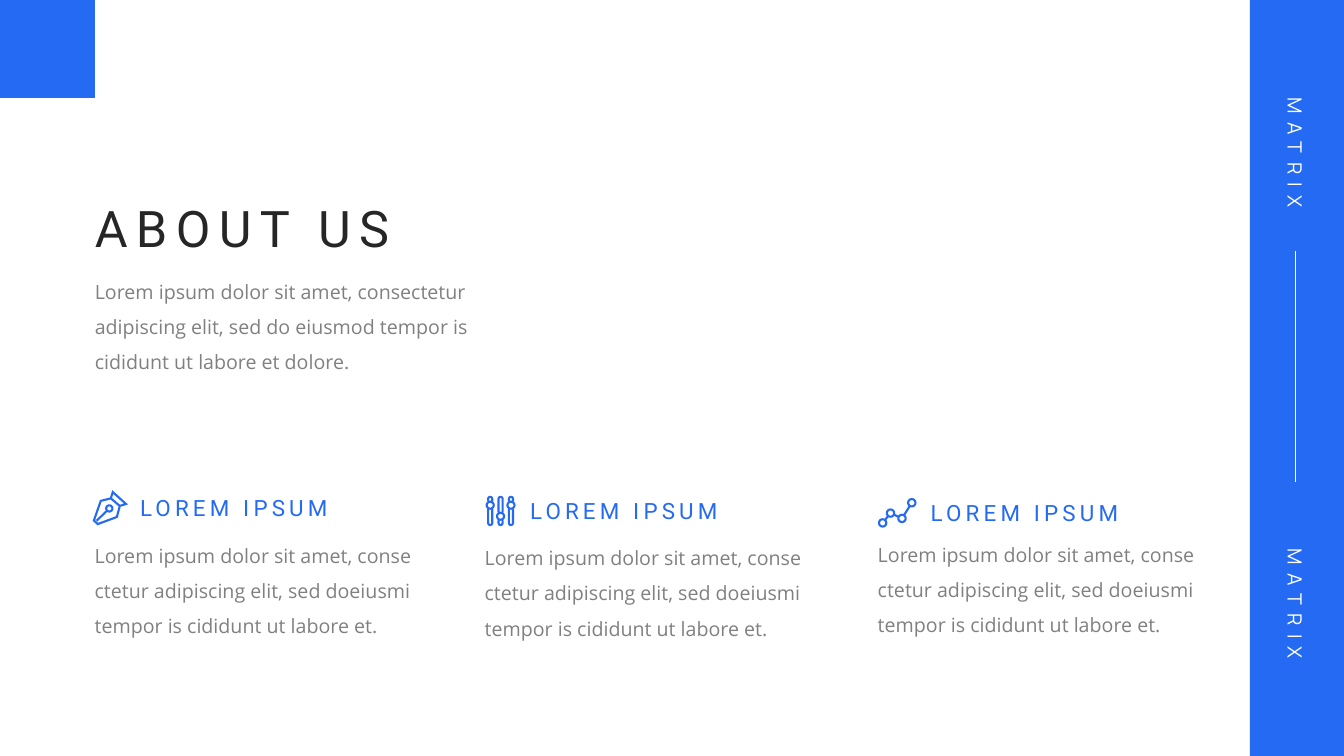
from itertools import pairwise
from math import cos, hypot, pi, sin
from lxml import etree
from pptx import Presentation
from pptx.dml.color import RGBColor
from pptx.enum.shapes import MSO_CONNECTOR, MSO_SHAPE
from pptx.enum.text import MSO_ANCHOR, MSO_AUTO_SIZE, PP_ALIGN
from pptx.oxml.ns import qn
from pptx.util import Pt

LEFT, CENTER, RIGHT = PP_ALIGN.LEFT, PP_ALIGN.CENTER, PP_ALIGN.RIGHT
TOP = MSO_ANCHOR.TOP
GROW = MSO_AUTO_SIZE.SHAPE_TO_FIT_TEXT
RECT = MSO_SHAPE.RECTANGLE
LINE = MSO_CONNECTOR.STRAIGHT

BLUE, WHITE, DARK, GREY = "256AF3", "FFFFFF", "262626", "808080"
HALF = 0.75  # half the stroke of an icon

# Text formats: font values, letter gap in points, paragraph values
TITLE = {"font": {"name": "Roboto", "size": Pt(36)}, "color": DARK, "gap": 6,
         "para": {"alignment": LEFT}, "wrap": False}
HEAD = {"font": {"name": "Roboto", "size": Pt(16)}, "color": BLUE, "gap": 3,
        "para": {"alignment": RIGHT}, "wrap": False}
BODY = {"font": {"name": "Open Sans", "size": Pt(14)}, "color": GREY, "gap": 0,
        "para": {"alignment": LEFT, "line_spacing": 1.5}, "wrap": True}
SIDE = {"font": {"name": "Manrope", "size": Pt(14)}, "color": WHITE, "gap": 6,
        "para": {"alignment": CENTER}, "wrap": True}

INTRO = ("Lorem ipsum dolor sit amet, consectetur adipiscing elit, "
         "sed do eiusmod tempor is cididunt ut labore et dolore.")
BLURB = ("Lorem ipsum dolor sit amet, conse ctetur adipiscing elit, "
         "sed doeiusmi tempor is cididunt ut labore et.")


def rgb(code):
    return RGBColor.from_string(code)


def apply(item, values):
    for name, value in values.items():
        setattr(item, name, value)


def place(shape, box):
    names = ("left", "top", "width", "height")
    apply(shape, {name: Pt(value) for name, value in zip(names, box)})


def write(shape, box, text, form):
    place(shape, box)
    frame = shape.text_frame
    apply(frame, {"word_wrap": form["wrap"], "auto_size": GROW,
                  "vertical_anchor": TOP})
    para = frame.paragraphs[0]
    props = para._p.get_or_add_pPr()
    props.set("marL", "0")
    props.set("indent", "0")
    etree.SubElement(props, qn("a:buNone"))
    apply(para, {"space_before": Pt(0), **form["para"]})
    run = para.add_run()
    run.text = text
    apply(run.font, form["font"])
    run.font.color.rgb = rgb(form["color"])
    if form["gap"]:
        run._r.get_or_add_rPr().set("spc", str(form["gap"] * 100))


def label(slide, box, text, form):
    shape = slide.shapes.add_textbox(0, 0, 0, 0)
    write(shape, box, text, form)
    return shape


def paint(shape, fill):
    shape.shadow.inherit = False
    shape.fill.solid()
    shape.fill.fore_color.rgb = rgb(fill)
    shape.line.fill.background()


def block(slide, box, fill):
    paint(slide.shapes.add_shape(RECT, *map(Pt, box)), fill)


def rule(slide, start, end, color, width):
    line = slide.shapes.add_connector(LINE, *map(Pt, start + end))
    line.line.color.rgb = rgb(color)
    line.line.width = Pt(width)
    etree.SubElement(line._element.spPr, qn("a:effectLst"))


# Outlines of a stroke along the points: one if open, two if closed
def stroke(points, closed=False):
    loop = points + points[:1] if closed else points
    norms = [((y1 - y2) / hypot(x2 - x1, y2 - y1), (x2 - x1) / hypot(x2 - x1, y2 - y1))
             for (x1, y1), (x2, y2) in pairwise(loop)]
    first = norms[-1:] if closed else norms[:1]
    last = [] if closed else norms[-1:]
    sides = ([], [])
    for (x, y), (ax, ay), (bx, by) in zip(points, first + norms, norms + last):
        size = HALF / (1 + ax * bx + ay * by)
        dx, dy = (ax + bx) * size, (ay + by) * size
        sides[0].append((x + dx, y + dy))
        sides[1].append((x - dx, y - dy))
    return list(sides) if closed else [sides[0] + sides[1][::-1]]


def arc(x, y, size, start=0.0, turn=2 * pi, steps=24):
    angles = [start + turn * i / steps for i in range(steps + 1)]
    return [(x + size * cos(a), y + size * sin(a)) for a in angles]


def ring(x, y, size):
    return stroke(arc(x, y, size)[:-1], True)


def draw(slide, x, y, paths):
    spots = [[(Pt(x + a), Pt(y + b)) for a, b in points] for points in paths]
    pencil = slide.shapes.build_freeform(*spots[0][0], scale=1.0)
    for i, points in enumerate(spots):
        if i:
            pencil.move_to(*points[0])
        pencil.add_line_segments(points[1:], close=True)
    paint(pencil.convert_to_shape(), BLUE)


# Icons, each drawn from its top left corner
def pen(slide, x, y):
    nib = [(5.8, 7.2), (13, 5.4), (19.4, 10.8), (17.3, 18.7), (3.6, 23.8), (0.9, 21.2)]
    cap = [(13.2, 4.7), (14.4, 0.9), (23.8, 9.4), (20.1, 10.6)]
    slit = [(2.8, 21.4), (9.8, 14.7)]
    draw(slide, x, y, stroke(nib, True) + stroke(cap) + stroke(slit)
         + ring(11.9, 12.6, 2.2))


def mixer(slide, x, y):
    for i, knob in enumerate((6.7, 14.6, 6.7)):
        mid = 3.2 + 7.4 * i
        upper = ([(mid - 1.45, knob - 2.9)] + arc(mid, 2.2, 1.45, pi, pi, 12)
                 + [(mid + 1.45, knob - 2.9)])
        lower = ([(mid + 1.45, knob + 2.9)] + arc(mid, 19.4, 1.45, 0, pi, 12)
                 + [(mid - 1.45, knob + 2.9)])
        draw(slide, x, y, stroke(upper) + stroke(lower) + ring(mid, knob, 2.5))


def graph(slide, x, y):
    nodes = [(3.4, 17.8), (9, 10.8), (17.2, 14.6), (24.2, 3.4)]
    paths = []
    for node in nodes:
        paths += ring(*node, 2.6)
    for (ax, ay), (bx, by) in pairwise(nodes):
        cut = 3.25 / hypot(bx - ax, by - ay)
        dx, dy = (bx - ax) * cut, (by - ay) * cut
        paths += stroke([(ax + dx, ay + dy), (bx - dx, by - dy)])
    draw(slide, x, y, paths)


# Blue band on the right edge
def band(slide, x, y, wide, high):
    block(slide, (x, y, wide, high), BLUE)
    mid = x + 32.4
    for top in (96.8, 419):
        text = label(slide, (mid - 70.7, y + top, 141, 24.5), "MATRIX", SIDE)
        text.rotation = 90
    rule(slide, (mid, y + 179.3), (mid, y + 344.2), WHITE, 0.5)


# Title and opening text
def intro(slide, x, y, wide):
    title, body = slide.placeholders
    write(title, (x, y, 235.5, 51), "ABOUT US", TITLE)
    write(body, (x, y + 50.4, wide, 80.6), INTRO, BODY)


# One feature: icon, heading and text below
def column(slide, x, y, wide, icon, spot, head):
    icon(slide, x + spot[0], y + spot[1])
    label(slide, (x + head[0], y + head[1], 151.2, 26.6), "LOREM IPSUM", HEAD)
    label(slide, (x, y, wide, 80.6), BLURB, BODY)


def main():
    deck = Presentation()
    deck.slide_width, deck.slide_height = Pt(960), Pt(540)
    slide = deck.slides.add_slide(deck.slide_layouts[1])
    band(slide, 892.8, 0, 67.2, 540)
    block(slide, (0, 0, 67.8, 70), BLUE)
    intro(slide, 60.5, 137.2, 330.5)
    column(slide, 60.5, 376.4, 251.3, pen, (5.7, -25.8), (29.5, -26.8))
    column(slide, 339.1, 378, 251.3, mixer, (7.9, -23.8), (29.5, -26.6))
    column(slide, 619.9, 375.8, 247, graph, (7.2, -20.1), (34.9, -23))
    deck.save("out.pptx")


if __name__ == "__main__":
    main()
